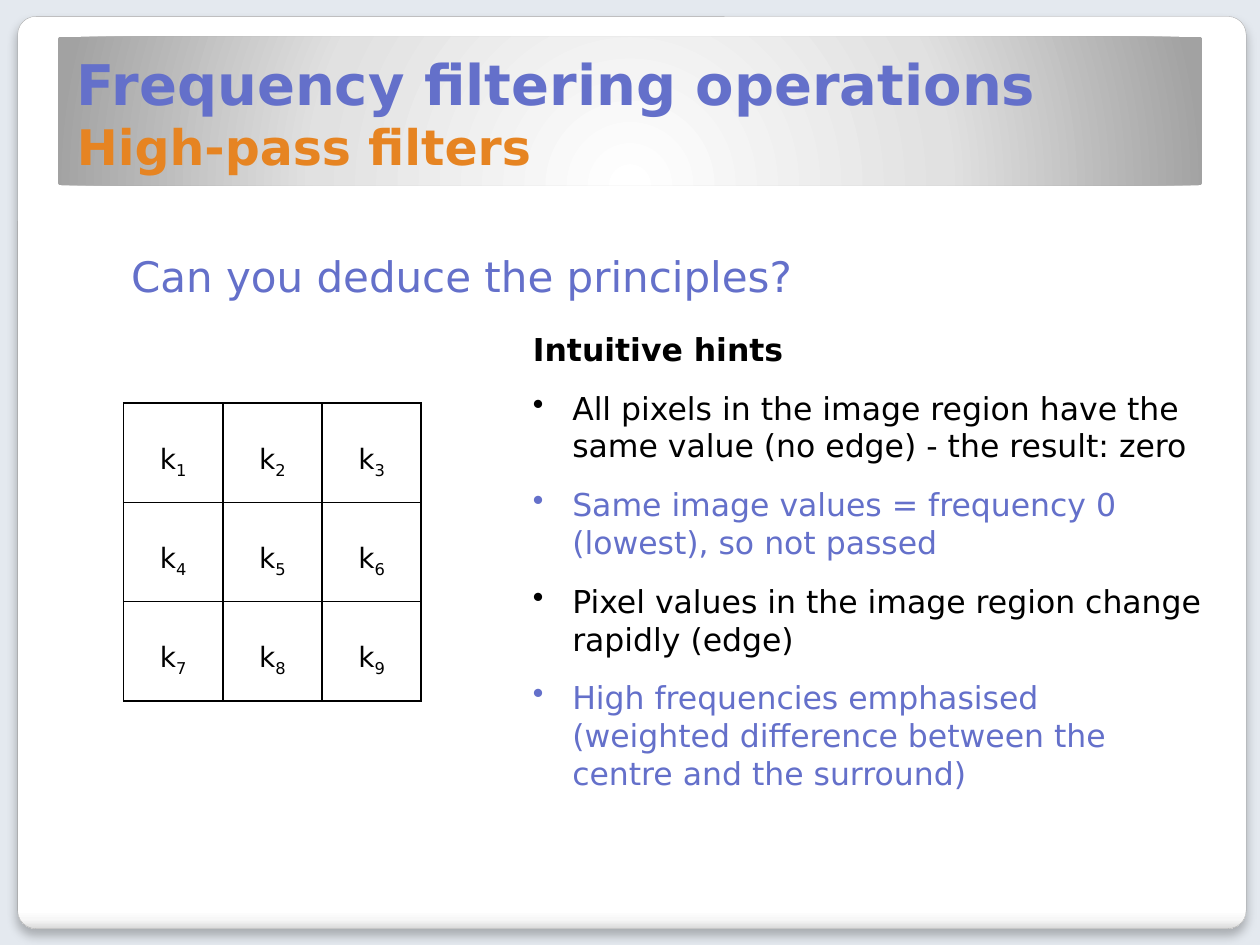
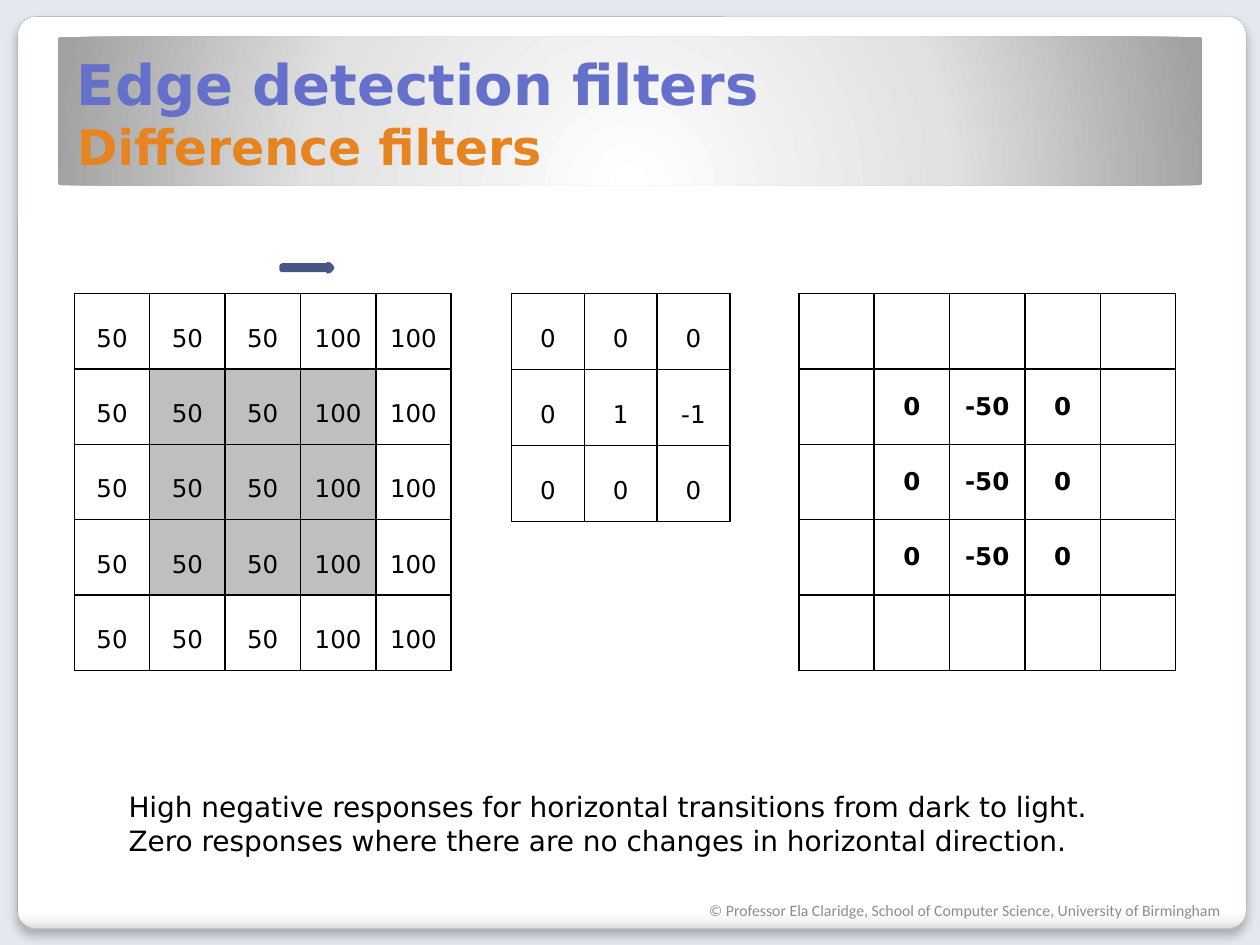
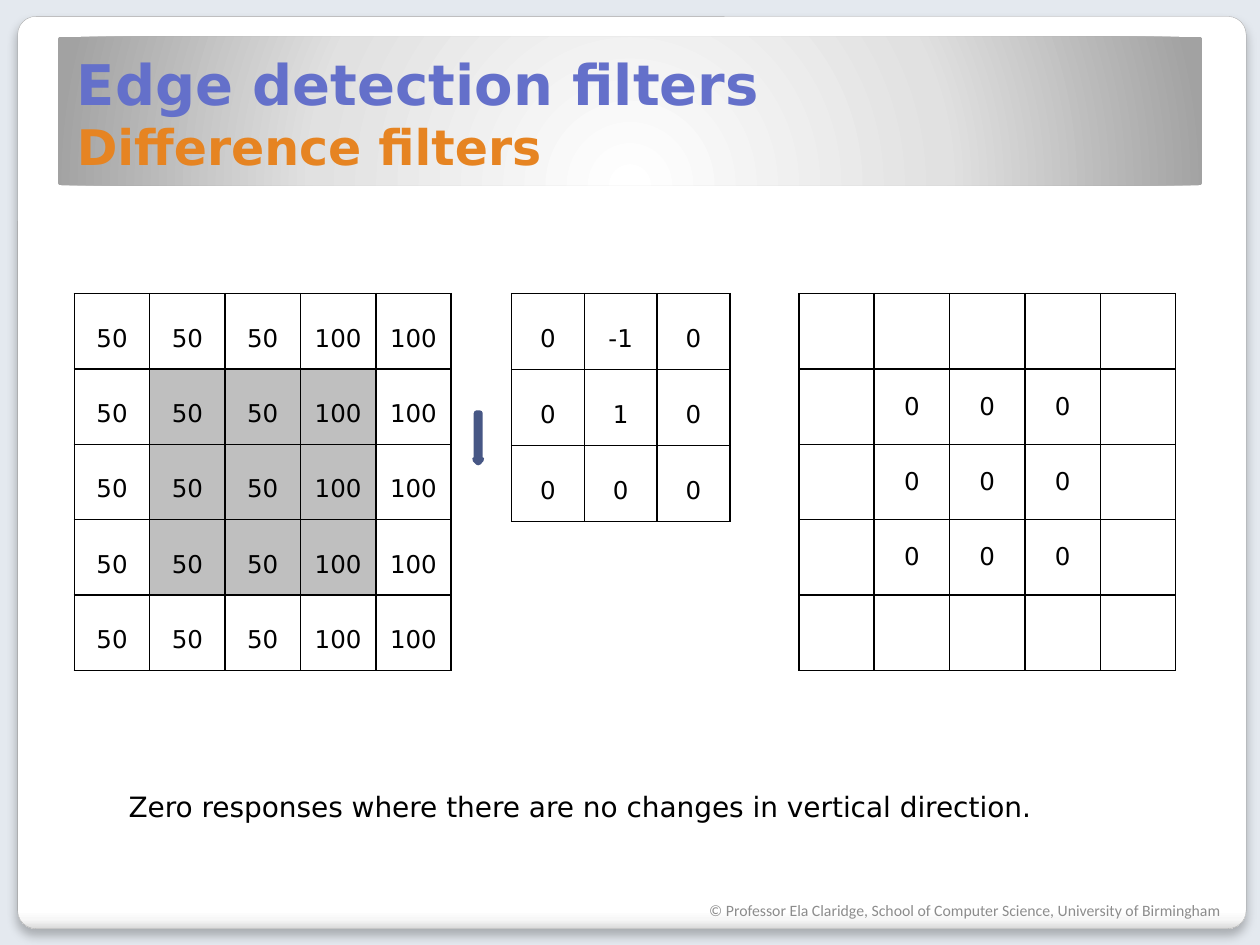
from copy import deepcopy

from pptx import Presentation
from pptx.dml.color import RGBColor
from pptx.enum.shapes import MSO_SHAPE as SHAPE
from pptx.enum.text import MSO_ANCHOR as ANCHOR, MSO_AUTO_SIZE as AUTO, PP_ALIGN as ALIGN
from pptx.oxml import parse_xml
from pptx.oxml.ns import nsdecls, qn
from pptx.util import Pt

BLUE, ORANGE, BLACK = "6470CA", "E68422", "000000"
CELL, GRID_TOP = 43.06, 167.8


def rgb(value):
    return RGBColor.from_string(value)


def drawing(tag, inner="", attrs=""):
    return parse_xml(f"<a:{tag} {nsdecls('a')} {attrs}>{inner}</a:{tag}>")


class Deck:
    font = "DejaVu Sans"

    def __init__(self):
        self.prs = Presentation()
        self.prs.slide_width, self.prs.slide_height = Pt(720), Pt(540)
        self.layout = self.prs.slide_layouts[5]
        self.s = None

    def save(self):
        self.prs.save("out.pptx")

    def new_slide(self, title, subtitle):
        first = self.s is None
        self.s = self.prs.slides.add_slide(self.layout)
        if first:
            self.backdrop()
        sp = self.s.shapes.title
        sp.left, sp.top, sp.width, sp.height = Pt(36.7), Pt(20.9), Pt(644.4), Pt(82.8)
        tf = sp.text_frame
        tf.text = f"{title}\v{subtitle}"
        tf.vertical_anchor, tf.auto_size = ANCHOR.BOTTOM, AUTO.NONE
        p = tf.paragraphs[0]
        p.alignment = ALIGN.LEFT
        for r, size, color in zip(p.runs, (32, 28), (BLUE, ORANGE)):
            self.style(r, size, color, bold=True)
        p._p.find(qn("a:br")).insert(0, deepcopy(p.runs[0]._r.rPr))

    def backdrop(self):
        fill = self.layout.background.fill
        fill.solid()
        fill.fore_color.rgb = rgb("E4E9EF")
        card = self.panel(10.1, 9.4, 702, 521.3,
                          [(0, "FFFFFF"), (98, "FFFFFF"), (99, "F7F7F7"), (100, "DADADA")],
                          '<a:lin ang="5400000" scaled="0"/>')
        card.line.color.rgb, card.line.width = rgb("A4A4A4"), Pt(0.16)
        card.element.spPr.find(qn("a:effectLst")).append(drawing(
            "outerShdw", '<a:srgbClr val="000000"><a:alpha val="25000"/></a:srgbClr>',
            f'blurRad="{Pt(6)}" dist="{Pt(4)}" dir="5400000" rotWithShape="0"'))
        band = self.panel(33.1, 20.9, 653.8, 85,
                          [(0, "FFFFFF"), (55, "E1E1E1"), (100, "A2A2A2")],
                          '<a:path path="circle"><a:fillToRect l="50000" t="175000" '
                          'r="50000" b="-75000"/></a:path>')
        for i, sp in enumerate((card, band)):
            self.layout.shapes.element.insert(2 + i, sp.element)

    def shape(self, kind, x, y, w, h):
        sp = self.s.shapes.add_shape(kind, Pt(x), Pt(y), Pt(w), Pt(h))
        sp.shadow.inherit = False
        return sp

    def panel(self, x, y, w, h, stops, direction):
        sp = self.shape(SHAPE.ROUNDED_RECTANGLE, x, y, w, h)
        sp.adjustments[0] = 0.02
        sp.line.fill.background()
        sp.fill.background()
        gs = "".join(f'<a:gs pos="{pos * 1000}"><a:srgbClr val="{c}"/></a:gs>' for pos, c in stops)
        spPr = sp.element.spPr
        spPr.replace(spPr.find(qn("a:noFill")),
                     drawing("gradFill", f"<a:gsLst>{gs}</a:gsLst>{direction}", 'rotWithShape="1"'))
        return sp

    def arrow(self, x, y, rotation=0):
        sp = self.shape(SHAPE.RIGHT_ARROW, x, y, 28.1, 3.6)
        sp.rotation = rotation
        sp.fill.solid()
        sp.fill.fore_color.rgb = rgb(BLUE)
        sp.line.color.rgb, sp.line.width = rgb("475785"), Pt(3.35)

    def style(self, r, size, color=BLACK, bold=False, font=None):
        f = r.font
        f.name, f.size, f.bold = font or self.font, Pt(size), bold
        f.color.rgb = rgb(color)

    def text(self, x, y, w, h, lines, size, color=BLACK, font=None, wrap=False):
        tf = self.s.shapes.add_textbox(Pt(x), Pt(y), Pt(w), Pt(h)).text_frame
        tf.text = "\n".join(lines)
        tf.word_wrap = wrap
        tf.auto_size = AUTO.NONE if wrap else AUTO.SHAPE_TO_FIT_TEXT
        for p in tf.paragraphs:
            self.style(p.runs[0], size, color, font=font)
        return tf

    def hints(self, x, y, w, h, heading, items):
        tf = self.text(x, y, w, h, [heading, *items], 18, wrap=True)
        for i, p in enumerate(tf.paragraphs):
            p.space_after = Pt(12)
            if i == 0:
                p.runs[0].font.bold = True
                continue
            pPr = p._p.get_or_add_pPr()
            pPr.set("marL", str(Pt(22.5)))
            pPr.set("indent", str(Pt(-22.5)))
            pPr.append(drawing("buChar", attrs='char="•"'))
            p.runs[0].font.color.rgb = rgb(BLACK if i % 2 else BLUE)

    def grid(self, x, y, rows, col_w, row_h, size=14, spacing=1.5, bold=False, shade_inner=False):
        n, m = len(rows), len(rows[0])
        table = self.s.shapes.add_table(n, m, Pt(x), Pt(y), Pt(col_w * m), Pt(row_h * n)).table
        table.first_row = table.horz_banding = False
        for col in table.columns:
            col.width = Pt(col_w)
        for i, row in enumerate(rows):
            table.rows[i].height = Pt(row_h)
            for j, value in enumerate(row):
                cell = table.cell(i, j)
                self.borders(cell)
                if shade_inner and 0 < i < n - 1 and 0 < j < m - 1:
                    cell.fill.solid()
                    cell.fill.fore_color.rgb = rgb("BFBFBF")
                else:
                    cell.fill.background()
                if value != "":
                    self.cell_text(cell, str(value), size, spacing, bold)

    def cell_text(self, cell, value, size, spacing, bold):
        cell.vertical_anchor = ANCHOR.MIDDLE
        cell.margin_left = cell.margin_right = Pt(6.5)
        cell.margin_top = cell.margin_bottom = Pt(3)
        base, _, sub = value.partition("_")
        p = cell.text_frame.paragraphs[0]
        p.text = base
        p.alignment, p.line_spacing = ALIGN.CENTER, spacing
        if sub:
            p.add_run().text = sub
        for r in p.runs:
            self.style(r, size, bold=bold)
        if sub:
            p.runs[1]._r.rPr.set("baseline", "-25000")

    def borders(self, cell):
        tcPr = cell._tc.get_or_add_tcPr()
        for side in ("lnL", "lnR", "lnT", "lnB"):
            tcPr.append(drawing(side, f'<a:solidFill><a:srgbClr val="{BLACK}"/></a:solidFill>',
                                f'w="{Pt(1)}"'))

    def filter_slide(self, kernel, response, notes, notes_size, arrow, bold=False):
        self.new_slide("Edge detection filters", "Difference filters")
        self.grid(292.3, GRID_TOP, kernel, 41.6, 43.4)
        self.grid(42.5, GRID_TOP, [[50, 50, 50, 100, 100]] * 5, CELL, CELL, shade_inner=True)
        blank = [""] * 5
        result = [blank, *[["", *response, ""]] * 3, blank]
        self.grid(456.5, GRID_TOP, result, CELL, CELL, spacing=1.0, bold=bold)
        self.text(66.4, 447.8, *notes_size, notes, 16)
        self.arrow(*arrow)
        self.text(398.2, 511.2, 313.9, 28.8,
                  ["© Professor Ela Claridge, School of Computer Science, University of Birmingham"],
                  9, "8C8C8C", "Calibri", wrap=True)


def main():
    deck = Deck()
    deck.new_slide("Frequency filtering operations", "High-pass filters")
    deck.text(67.9, 139.7, 404, 36, ["Can you deduce the principles?"], 24, BLUE)
    deck.hints(297.4, 185, 396.7, 273.6, "Intuitive hints", [
        "All pixels in the image region have the same value (no edge) - the result: zero",
        "Same image values = frequency 0 (lowest), so not passed",
        "Pixel values in the image region change rapidly (edge)",
        "High frequencies emphasised (weighted difference between the centre and the surround)",
    ])
    coefficients = [[f"k_{3 * i + j}" for j in (1, 2, 3)] for i in range(3)]
    deck.grid(70.6, 230.4, coefficients, 56.7, 56.7, size=16)

    deck.filter_slide(
        [[0, 0, 0], [0, 1, -1], [0, 0, 0]], [0, -50, 0],
        ["High negative responses for horizontal transitions from dark to light.",
         "Zero responses where there are no changes in horizontal direction."],
        (573.8, 46), (161.3, 151.2), bold=True)
    deck.filter_slide(
        [[0, -1, 0], [0, 1, 0], [0, 0, 0]], [0, 0, 0],
        ["Zero responses where there are no changes in vertical direction."],
        (535.7, 26.6), (259.2, 248.4, 90))
    deck.save()


if __name__ == "__main__":
    main()
